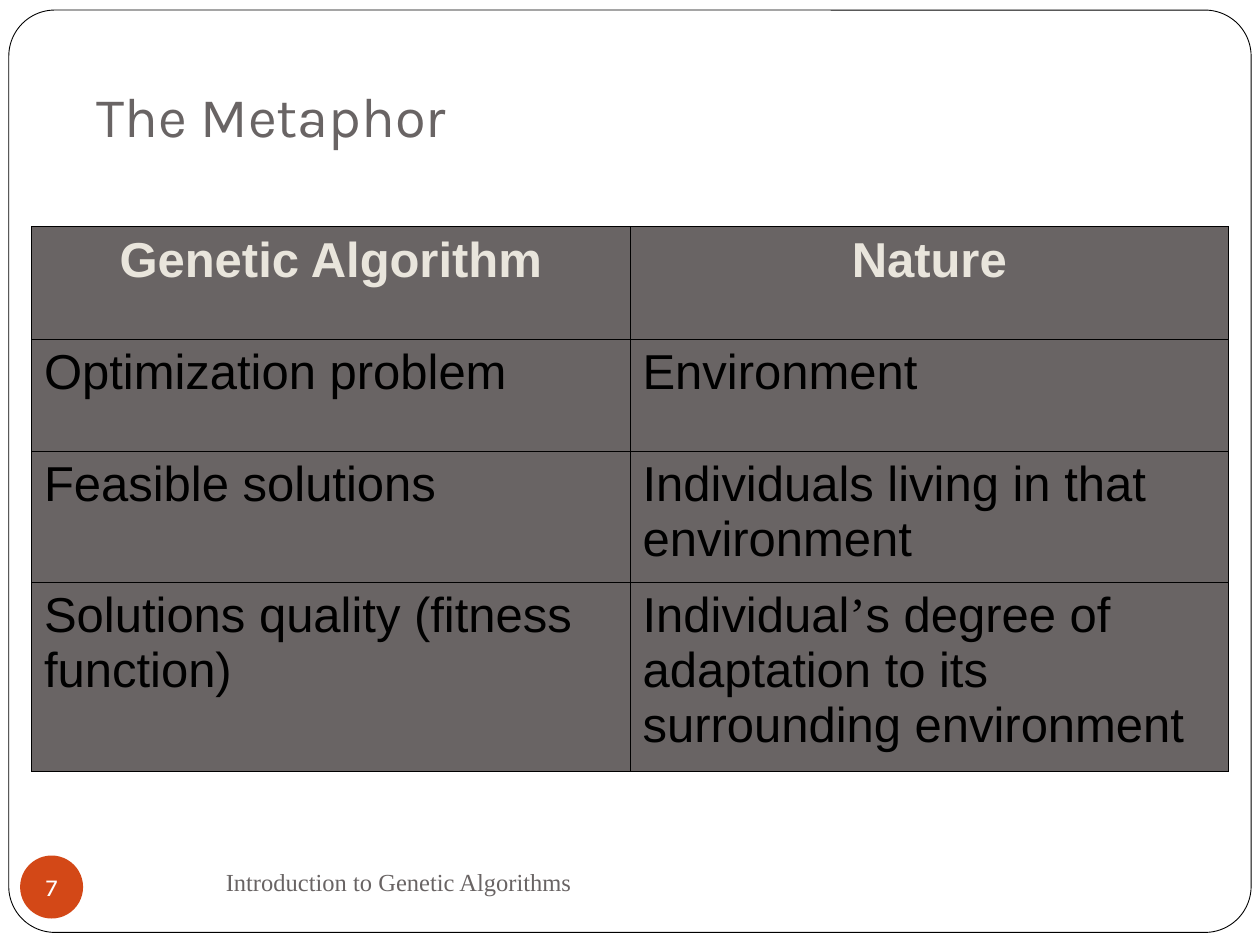
from dataclasses import dataclass

from lxml.etree import SubElement
from pptx import Presentation
from pptx.dml.color import RGBColor
from pptx.enum.shapes import MSO_SHAPE as Shape
from pptx.enum.text import MSO_ANCHOR as Anchor, PP_ALIGN as Align
from pptx.oxml.ns import qn
from pptx.util import Inches, Pt


@dataclass(frozen=True)
class Theme:
    white: str = "FFFFFF"
    black: str = "000000"
    gray: str = "696464"
    cream: str = "E9E5DC"
    accent: str = "D34817"
    title_size: int = 32
    table_size: int = 28
    small_size: int = 14
    frame_line: float = 0.5
    grid_line: float = 0.45
    heading_font: str = "Karla"
    table_font: str = "Arial"
    footer_font: str = "Times New Roman"


THEME = Theme()

ROWS = [
    ("Genetic Algorithm", "Nature"),
    ("Optimization problem", "Environment"),
    ("Feasible solutions", "Individuals living in that environment"),
    ("Solutions quality (fitness function)",
     "Individual’s degree of adaptation to its surrounding environment"),
]
ROW_HEIGHTS = [0.89, 0.89, 1.04, 1.5]
COLUMN_WIDTH = 4.75


def set_all(target, values):
    for name, value in values.items():
        setattr(target, name, value)


def write(paragraph, text, font, size, color, bold=False, align=Align.LEFT):
    """Write text, setting each curly apostrophe in the footer's serif font."""
    paragraph.alignment = align
    for piece in text.replace("’", "|’|").split("|"):
        run = paragraph.add_run()
        run.text = piece
        face = THEME.footer_font if piece == "’" else font
        set_all(run.font, {"name": face, "size": Pt(size), "bold": bold})
        run.font.color.rgb = RGBColor.from_string(color)


def add_text(slide, box, text, font, size, color, anchor, align, bottom=0.05):
    frame = slide.shapes.add_textbox(*map(Inches, box)).text_frame
    set_all(frame, {
        "word_wrap": True, "vertical_anchor": anchor,
        "margin_left": Inches(0.1), "margin_right": Inches(0.1),
        "margin_top": Inches(0.05), "margin_bottom": Inches(bottom),
    })
    write(frame.paragraphs[0], text, font, size, color, align=align)


def add_plain_shape(slide, kind, box, fill):
    shape = slide.shapes.add_shape(kind, *map(Inches, box))
    shape.shadow.inherit = False
    shape.fill.solid()
    shape.fill.fore_color.rgb = RGBColor.from_string(fill)
    shape.line.fill.background()
    return shape


def add_frame(slide):
    frame = add_plain_shape(slide, Shape.ROUNDED_RECTANGLE,
                            (0.07, 0.08, 9.86, 7.32), THEME.white)
    frame.adjustments[0] = 0.05
    frame.line.color.rgb = RGBColor.from_string(THEME.black)
    frame.line.width = Pt(THEME.frame_line)


def add_page_badge(slide, number):
    badge = add_plain_shape(slide, Shape.OVAL, (0.16, 6.79, 0.5, 0.5), THEME.accent)
    set_all(badge.text_frame, {
        "word_wrap": False, "vertical_anchor": Anchor.MIDDLE,
        "margin_left": 0, "margin_right": 0, "margin_top": 0, "margin_bottom": 0,
    })
    write(badge.text_frame.paragraphs[0], number, THEME.heading_font,
          THEME.small_size, THEME.white, align=Align.CENTER)


def style_cell(cell):
    """Draw the four borders, then the fill, which must follow them in the XML."""
    properties = cell._tc.get_or_add_tcPr()
    for side in ("a:lnL", "a:lnR", "a:lnT", "a:lnB"):
        border = SubElement(properties, qn(side), w=str(Pt(THEME.grid_line)))
        color = SubElement(border, qn("a:solidFill"))
        SubElement(color, qn("a:srgbClr"), val=THEME.black)
    cell.fill.solid()
    cell.fill.fore_color.rgb = RGBColor.from_string(THEME.gray)


def add_comparison(slide):
    columns = len(ROWS[0])
    box = (0.25, 1.8, columns * COLUMN_WIDTH, sum(ROW_HEIGHTS))
    table = slide.shapes.add_table(len(ROWS), columns, *map(Inches, box)).table
    for r, (height, texts) in enumerate(zip(ROW_HEIGHTS, ROWS)):
        table.rows[r].height = Inches(height)
        header = r == 0
        for c, text in enumerate(texts):
            cell = table.cell(r, c)
            style_cell(cell)
            write(cell.text_frame.paragraphs[0], text, THEME.table_font,
                  THEME.table_size, THEME.cream if header else THEME.black,
                  bold=header, align=Align.CENTER if header else Align.LEFT)


def main():
    deck = Presentation()
    set_all(deck, {"slide_width": Inches(10), "slide_height": Inches(7.5)})
    slide = deck.slides.add_slide(deck.slide_layouts[6])
    add_frame(slide)
    add_text(slide, (0.67, 0.58, 8.5, 0.7), "The Metaphor", THEME.heading_font,
             THEME.title_size, THEME.gray, Anchor.BOTTOM, Align.LEFT, bottom=0.1)
    add_text(slide, (1, 6.75, 4.33, 0.5), "Introduction to Genetic Algorithms",
             THEME.footer_font, THEME.small_size, THEME.gray, Anchor.MIDDLE, Align.CENTER)
    add_page_badge(slide, "7")
    add_comparison(slide)
    deck.save("out.pptx")


if __name__ == "__main__":
    main()
